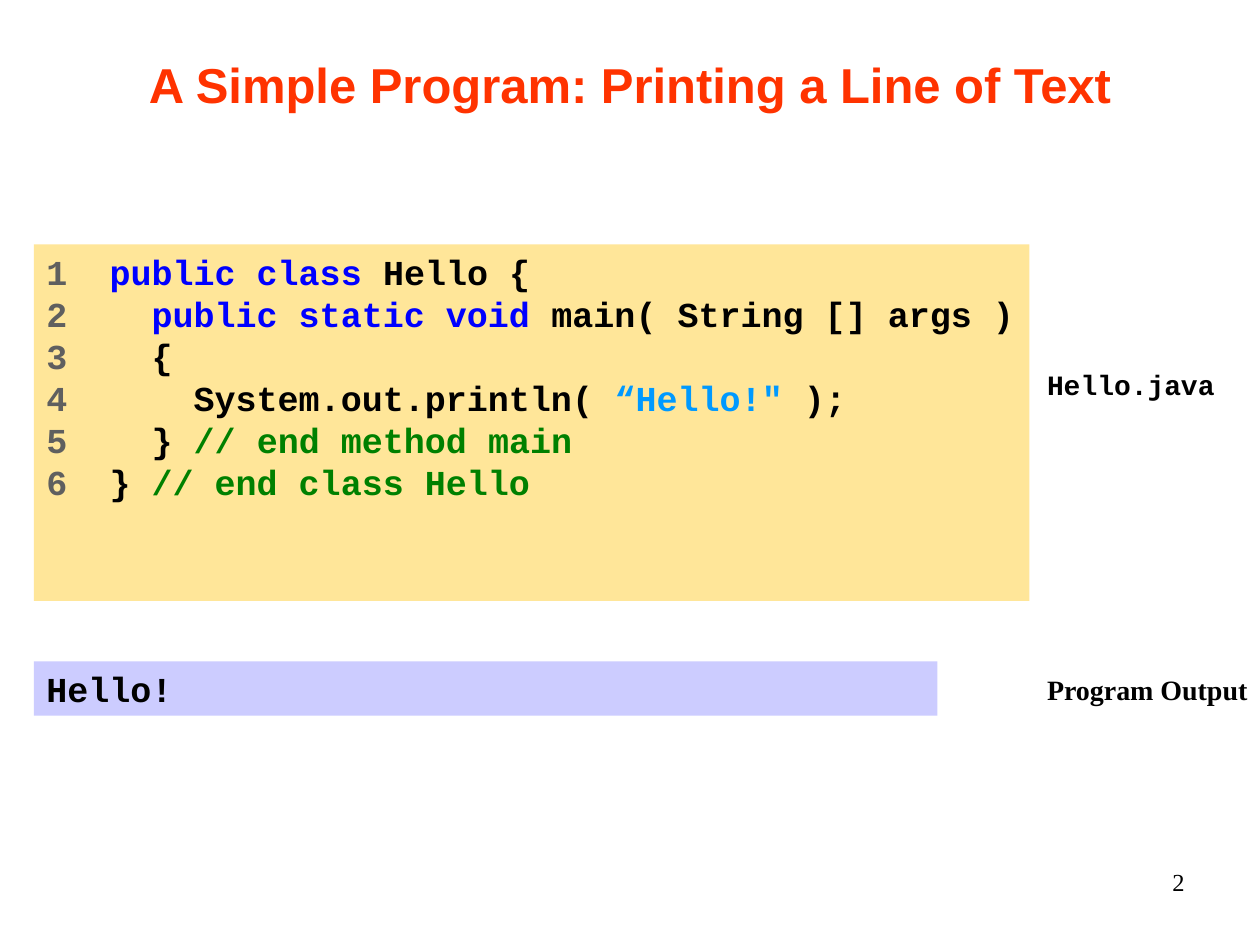
from dataclasses import dataclass

from pptx import Presentation
from pptx.dml.color import RGBColor
from pptx.enum.shapes import MSO_SHAPE
from pptx.enum.text import MSO_ANCHOR, PP_ALIGN
from pptx.slide import Slide
from pptx.text.text import TextFrame
from pptx.util import Inches, Pt

MONO, SERIF = "Courier New", "Times New Roman"
BLACK, GRAY, BLUE, SKY, GREEN = "000000", "5F5F5F", "0000FF", "0099FF", "008000"

Line = list[tuple[str, str]]


@dataclass
class Block:
    left: float
    top: float
    width: float
    height: float
    lines: list[Line]
    font: str
    size: int
    bold: bool = True
    fill: str | None = None
    align: PP_ALIGN = PP_ALIGN.LEFT
    inset: float = 0.1


def rgb(value: str) -> RGBColor:
    return RGBColor.from_string(value)


def write_lines(tf: TextFrame, lines: list[Line], align: PP_ALIGN, fmt: dict) -> None:
    for i, line in enumerate(lines):
        p = tf.add_paragraph() if i else tf.paragraphs[0]
        p.alignment = align
        for text, color in line:
            r = p.add_run()
            r.text = text
            r.font.color.rgb = rgb(color)
            for name, value in fmt.items():
                setattr(r.font, name, value)


def add_block(s: Slide, b: Block) -> None:
    box = [Inches(v) for v in (b.left, b.top, b.width, b.height)]
    if b.fill:
        sp = s.shapes.add_shape(MSO_SHAPE.RECTANGLE, *box)
        sp.shadow.inherit = False
        sp.fill.solid()
        sp.fill.fore_color.rgb = rgb(b.fill)
        sp.line.fill.background()
    else:
        sp = s.shapes.add_textbox(*box)
    tf = sp.text_frame
    frame = {
        "word_wrap": True,
        "vertical_anchor": MSO_ANCHOR.TOP,
        "margin_left": Inches(b.inset),
        "margin_right": Inches(b.inset),
    }
    for name, value in frame.items():
        setattr(tf, name, value)
    fmt = {"name": b.font, "size": Pt(b.size), "bold": b.bold}
    write_lines(tf, b.lines, b.align, fmt)


def add_title(s: Slide, text: str) -> None:
    sp = s.shapes.title
    box = {"left": 0.75, "top": 0.08, "width": 8.5, "height": 1.17}
    for name, value in box.items():
        setattr(sp, name, Inches(value))
    sp.text_frame.vertical_anchor = MSO_ANCHOR.MIDDLE
    fmt = {"name": "Arial", "size": Pt(28), "bold": True}
    write_lines(sp.text_frame, [[(text, "FF3300")]], PP_ALIGN.CENTER, fmt)


CODE: list[Line] = [
    [("public class ", BLUE), ("Hello {", BLACK)],
    [("  public static void", BLUE), (" main( String [] args )", BLACK)],
    [("  {", BLACK)],
    [("    System.out.println( ", BLACK), ("“Hello!\"", SKY), (" );", BLACK)],
    [("  } ", BLACK), ("// end method main", GREEN)],
    [("} ", BLACK), ("// end class Hello", GREEN)],
]
LISTING = [[(f"{n}  ", GRAY), *line] for n, line in enumerate(CODE, 1)]

BLOCKS = [
    Block(8.31, 2.87, 1.69, 0.36, [[("Hello.java", BLACK)]], MONO, 16, inset=0),
    Block(8.31, 5.29, 1.69, 0.36, [[("Program Output", BLACK)]], SERIF, 16, inset=0),
    Block(0.27, 1.94, 7.9, 2.83, LISTING, MONO, 20, fill="FFE699"),
    Block(0.27, 5.25, 7.17, 0.43, [[("Hello!", BLACK)]], MONO, 20, fill="CCCCFF"),
    Block(7.42, 6.83, 2.08, 0.5, [[("2", BLACK)]], SERIF, 14, bold=False,
          align=PP_ALIGN.RIGHT),
]


def main() -> None:
    prs = Presentation()
    prs.slide_width, prs.slide_height = Inches(10), Inches(7.5)
    s = prs.slides.add_slide(prs.slide_layouts[5])
    add_title(s, "A Simple Program: Printing a Line of Text")
    for block in BLOCKS:
        add_block(s, block)
    prs.save("out.pptx")


if __name__ == "__main__":
    main()
